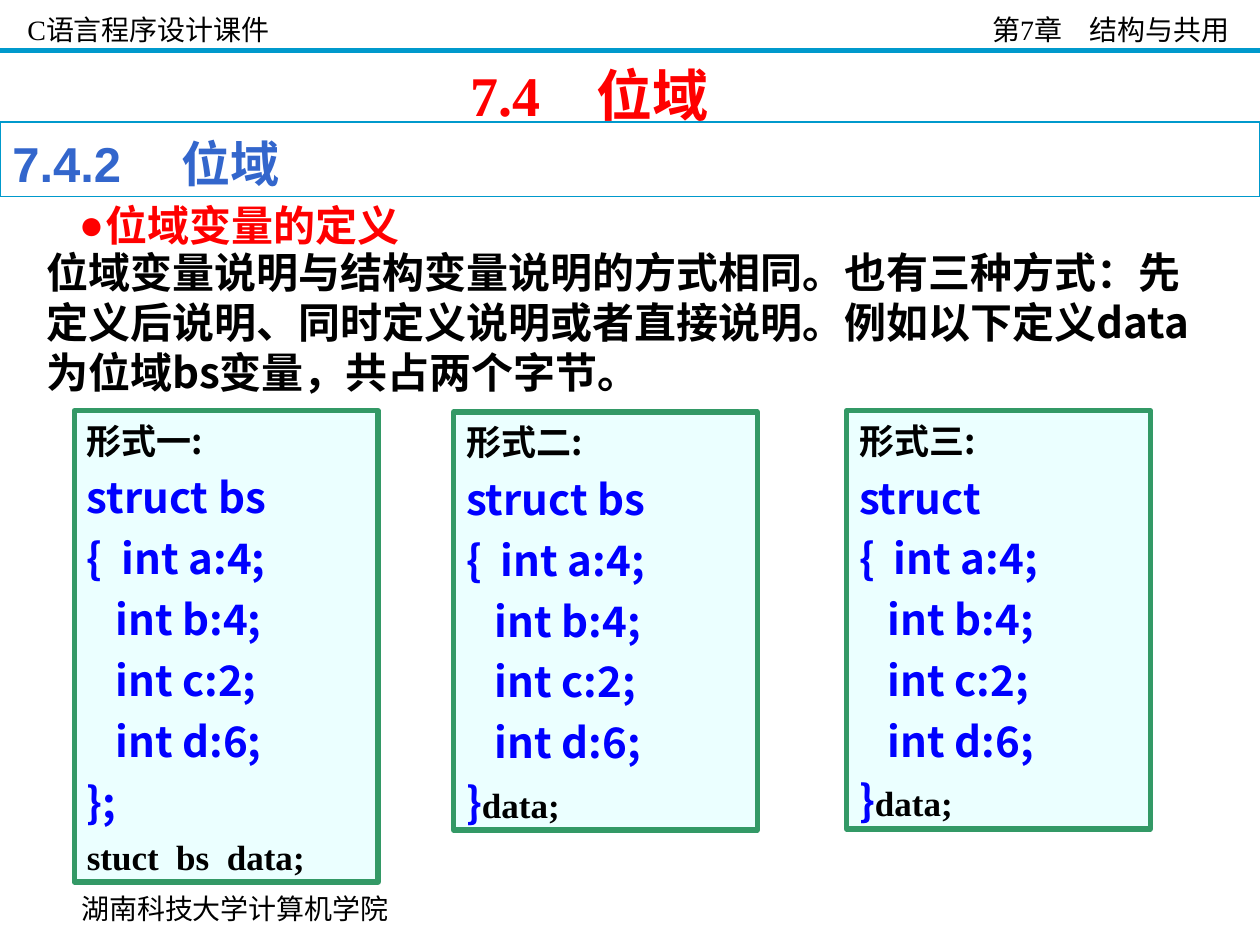
from lxml import etree
from pptx import Presentation
from pptx.dml.color import RGBColor
from pptx.enum import shapes, text
from pptx.oxml.ns import qn
from pptx.util import Pt

BLACK = RGBColor(0, 0, 0)
RED = RGBColor(0xFF, 0, 0)
CODE_BLUE = RGBColor(0, 0, 0xFF)
HEADING_BLUE = RGBColor(0x33, 0x66, 0xCC)
RULE_BLUE = RGBColor(0, 0x99, 0xCC)
PANEL_FILL = RGBColor(0xEB, 0xFF, 0xFF)
PANEL_GREEN = RGBColor(0x33, 0x99, 0x66)

CJK, SERIF, SANS = "Noto Sans CJK SC", "Times New Roman", "Arial"
LINE_HEIGHT = 1.2

RUNNING = dict(size=16, name=SERIF, color=BLACK, bold=False)
TITLE = dict(size=32, name=SERIF, color=RED, bold=True)
HEADING = dict(size=28, name=SANS, color=HEADING_BLUE, bold=True)
TOPIC = dict(size=24, name=CJK, color=RED, bold=True)
BODY = dict(size=24, name=CJK, color=BLACK, bold=True)
FORM = dict(size=20, name=CJK, color=BLACK, bold=True)
CODE = dict(size=24, name=CJK, color=CODE_BLUE, bold=True)
VARIABLE = dict(size=20, name=SERIF, color=BLACK, bold=True)

FIELDS = ["{  int a:4;", "   int b:4;", "   int c:2;", "   int d:6;"]


def add_run(paragraph, words, style):
    run = paragraph.add_run()
    run.text = words
    values = dict(style, size=Pt(style["size"]))
    run.font.color.rgb = values.pop("color")
    for attribute, value in values.items():
        setattr(run.font, attribute, value)
    east_asian = etree.SubElement(run.font._element, qn("a:ea"))
    east_asian.set("typeface", CJK)


def fill_frame(shape, paragraphs, top_inset, align=text.PP_ALIGN.LEFT):
    """Write paragraphs, each a (space before, [(words, style), ...]) pair."""
    frame = shape.text_frame
    settings = dict(word_wrap=True, auto_size=text.MSO_AUTO_SIZE.NONE,
                    vertical_anchor=text.MSO_ANCHOR.TOP,
                    margin_left=Pt(7.2), margin_right=Pt(7.2),
                    margin_top=Pt(top_inset), margin_bottom=Pt(0))
    for attribute, value in settings.items():
        setattr(frame, attribute, value)
    for index, (space, runs) in enumerate(paragraphs):
        paragraph = frame.add_paragraph() if index else frame.paragraphs[0]
        paragraph.alignment = align
        paragraph.space_before = Pt(space)
        paragraph.line_spacing = Pt(LINE_HEIGHT * max(s["size"] for _, s in runs))
        for words, style in runs:
            add_run(paragraph, words, style)
    return frame.paragraphs[0]


def add_text(slide, box, words, style, top_inset, **options):
    shape = slide.shapes.add_textbox(*map(Pt, box))
    return fill_frame(shape, [(0, [(words, style)])], top_inset, **options)


def add_box(slide, box, line_color, line_width, fill=None):
    shape = slide.shapes.add_shape(shapes.MSO_SHAPE.RECTANGLE, *map(Pt, box))
    shape.shadow.inherit = False
    if fill is None:
        shape.fill.background()
    else:
        shape.fill.solid()
        shape.fill.fore_color.rgb = fill
    shape.line.color.rgb = line_color
    shape.line.width = Pt(line_width)
    return shape


def add_rule(slide, y):
    rule = slide.shapes.add_connector(
        shapes.MSO_CONNECTOR.STRAIGHT, 0, Pt(y), Pt(720), Pt(y))
    rule.line.color.rgb = RULE_BLUE
    rule.line.width = Pt(3)
    etree.SubElement(rule._element.spPr, qn("a:effectLst"))


def add_right_tab(paragraph, position):
    tabs = etree.SubElement(paragraph._p.get_or_add_pPr(), qn("a:tabLst"))
    etree.SubElement(tabs, qn("a:tab"), pos=str(Pt(position)), algn="r")


def add_bullet(paragraph, margin, hanging):
    properties = paragraph._p.get_or_add_pPr()
    properties.set("marL", str(Pt(margin)))
    properties.set("indent", str(-Pt(hanging)))
    color = etree.SubElement(properties, qn("a:buClr"))
    etree.SubElement(color, qn("a:srgbClr"), val=str(RED))
    etree.SubElement(properties, qn("a:buFont"), typeface=SANS)
    etree.SubElement(properties, qn("a:buChar"), char="●")


def add_form(slide, box, form, opening, endings):
    """Add one code panel; endings are the paragraphs after the bit fields."""
    panel = add_box(slide, box, PANEL_GREEN, 3, PANEL_FILL)
    code = [(6, [(line, CODE)]) for line in [opening, *FIELDS]]
    fill_frame(panel, [(0, [(form, FORM)]), *code, *endings], 5)


def set_title(slide):
    title = slide.shapes.title
    title.left, title.top, title.width, title.height = map(Pt, (261.4, 27.4, 328.3, 46))
    fill_frame(title, [(0, [("7.4\u3000位域".replace("\u3000", "　"), TITLE)])], 7)


def main():
    deck = Presentation()
    deck.slide_width, deck.slide_height = Pt(720), Pt(540)
    slide = deck.slides.add_slide(deck.slide_layouts[5])

    add_rule(slide, 28.8)
    header = add_text(slide, (8.6, 1.4, 708, 26),
                      "C语言程序设计课件\t第7章　结构与共用", RUNNING, 5.5)
    add_right_tab(header, 687)
    add_text(slide, (32.4, 499.7, 203.8, 36), "湖南科技大学计算机学院",
             RUNNING, 10, align=text.PP_ALIGN.CENTER)
    set_title(slide)

    heading = add_box(slide, (0, 69.8, 720, 42.5), RULE_BLUE, 0.75)
    fill_frame(heading, [(0, [("7.4.2　 位域", HEADING)])], 6.7)
    topic = add_text(slide, (0, 108, 664.6, 36), "位域变量的定义", TOPIC, 6)
    add_bullet(topic, 53, 15)

    joined_end = [(5, [("}", CODE), ("data;", VARIABLE)])]
    separate_end = [(6, [("};", CODE)]), (5, [("stuct  bs  data;", VARIABLE)])]
    forms = [
        (42.5, 234.7, 269.3, "形式一:", "struct bs", separate_end),
        (259.2, 235.4, 239, "形式二:", "struct bs", joined_end),
        (483.8, 234.7, 239, "形式三:", "struct", joined_end),
    ]
    for left, top, height, form, opening, endings in forms:
        add_form(slide, (left, top, 173.5, height), form, opening, endings)

    add_text(slide, (19.4, 134.6, 678.2, 93.6),
             "位域变量说明与结构变量说明的方式相同。也有三种方式：先定义后说明、"
             "同时定义说明或者直接说明。例如以下定义data为位域bs变量，共占两个字节。",
             BODY, 6)
    deck.save("out.pptx")


if __name__ == "__main__":
    main()
